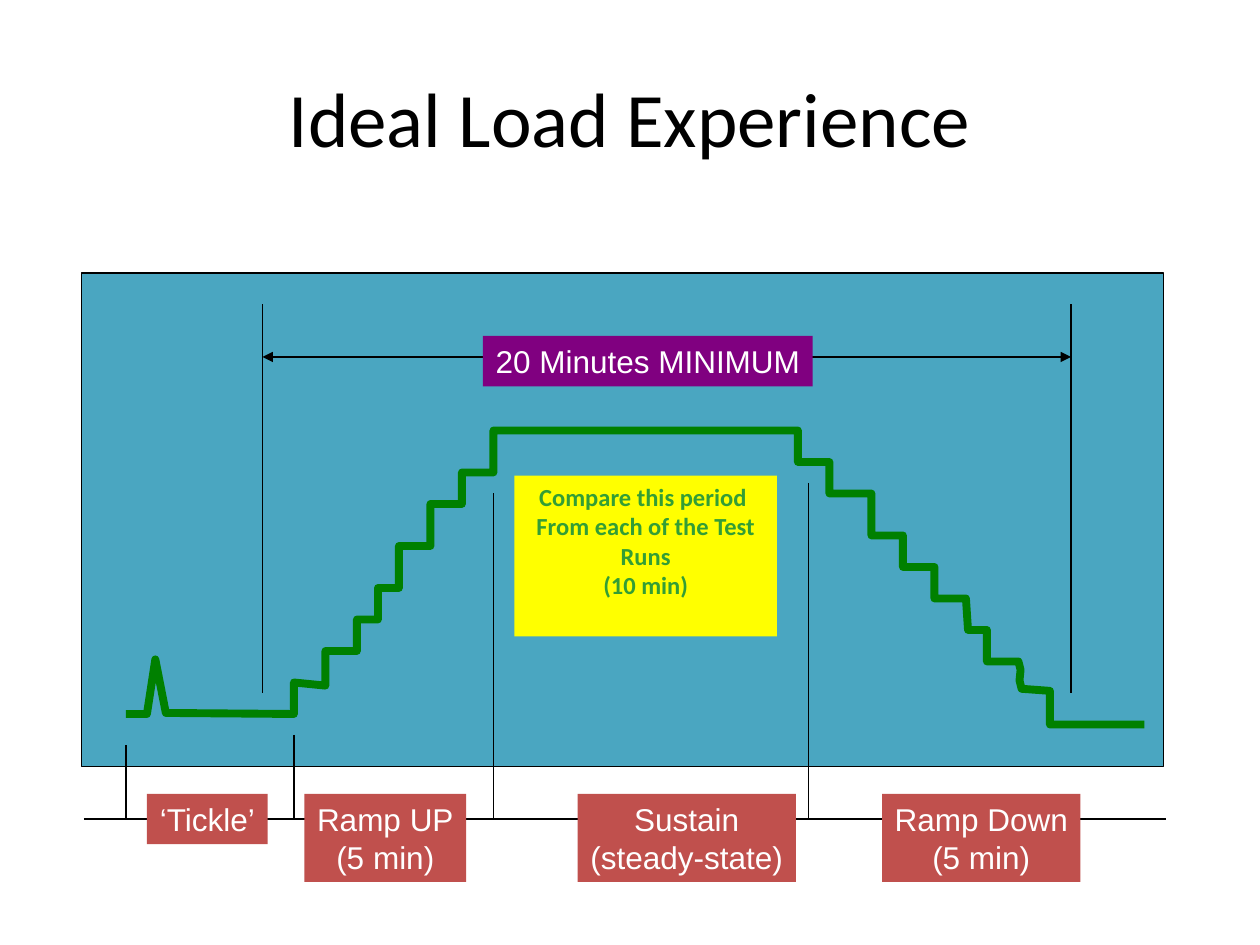
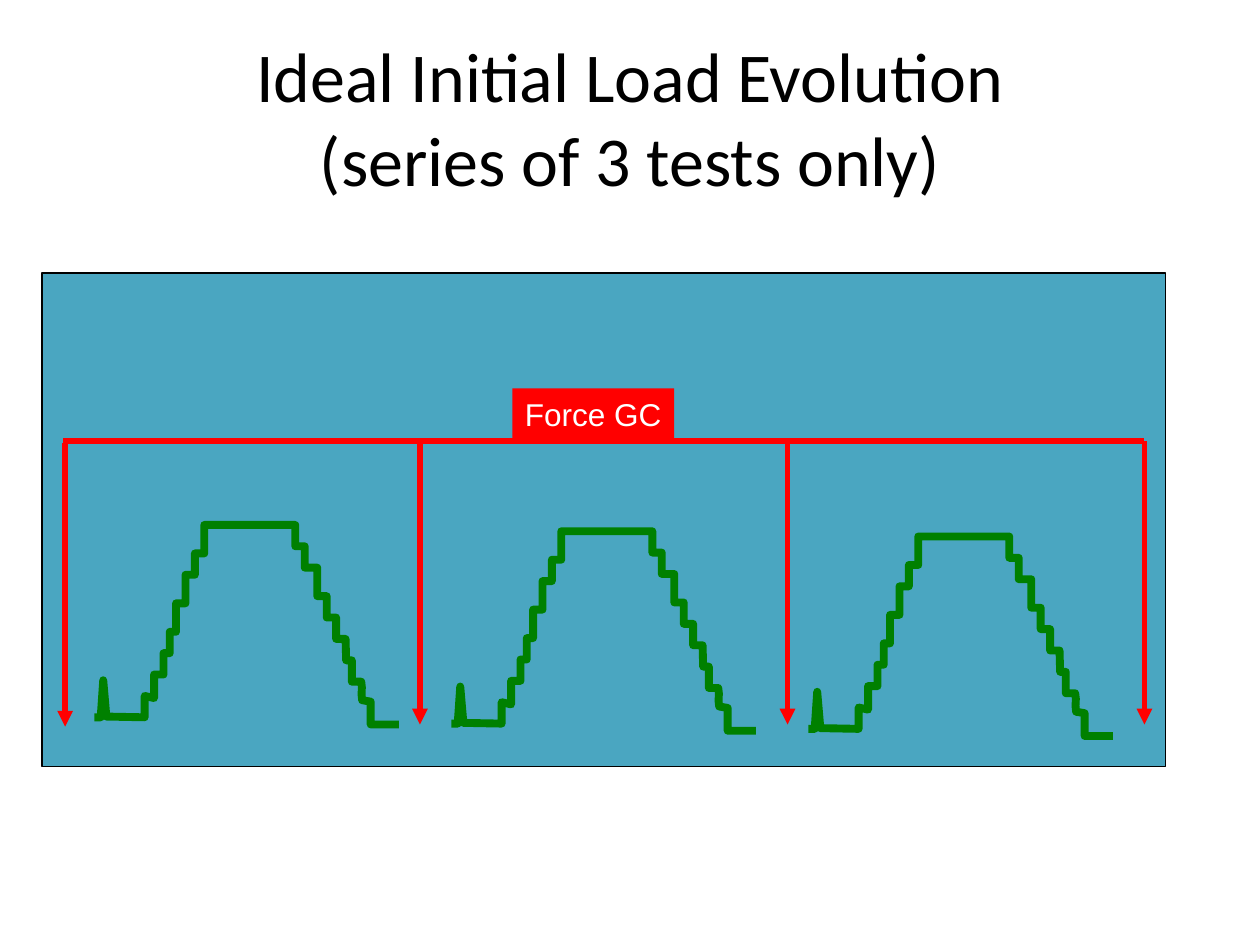
from lxml.etree import SubElement
from pptx import Presentation
from pptx.dml.color import RGBColor
from pptx.enum.shapes import MSO_CONNECTOR, MSO_SHAPE
from pptx.enum.text import MSO_ANCHOR, PP_ALIGN
from pptx.oxml.ns import qn
from pptx.util import Pt

PX = 7620
BLACK = RGBColor(0x00, 0x00, 0x00)
WHITE = RGBColor(0xFF, 0xFF, 0xFF)
TEAL = RGBColor(0x4A, 0xA6, 0xC1)
BRICK = RGBColor(0xC0, 0x50, 0x4D)
GREEN = RGBColor(0x00, 0x80, 0x00)
LIGHT_GREEN = RGBColor(0x33, 0x9E, 0x35)
PURPLE = RGBColor(0x80, 0x00, 0x80)
YELLOW = RGBColor(0xFF, 0xFF, 0x00)
RED = RGBColor(0xFF, 0x00, 0x00)

LOAD_WIDTH, LOAD_HEIGHT = 970, 280
LOAD_POINTS = [
    (0, 270), (20, 270), (28, 218), (38, 269), (160, 270), (160, 240),
    (190, 243), (190, 210), (220, 210), (220, 180), (240, 180), (240, 150),
    (260, 150), (260, 110), (290, 110), (290, 70), (320, 70), (320, 40),
    (350, 40), (350, 0), (640, 0), (640, 30), (670, 30), (670, 60),
    (710, 60), (710, 100), (740, 100), (740, 130), (770, 130), (770, 160),
    (800, 160), (802, 190), (820, 190), (820, 220), (850, 220), (852, 228),
    (851, 238), (853, 246), (880, 248), (880, 280), (970, 280),
]


def add_text(slide, text, left, top, width, height, *, font="Arial", size=18,
             color=WHITE, fill=None, bold=False, wrap=False,
             anchor=MSO_ANCHOR.TOP):
    box = slide.shapes.add_textbox(left * PX, top * PX, width * PX, height * PX)
    if fill is not None:
        box.fill.solid()
        box.fill.fore_color.rgb = fill
    frame = box.text_frame
    frame.word_wrap = wrap
    frame.vertical_anchor = anchor
    frame.text = text
    for paragraph in frame.paragraphs:
        paragraph.alignment = PP_ALIGN.CENTER
        for run in paragraph.runs:
            run.font.name = font
            run.font.size = Pt(size)
            run.font.bold = bold
            run.font.color.rgb = color


def add_line(slide, start_x, start_y, end_x, end_y, color=BLACK, weight=0.75, arrow=False):
    connector = slide.shapes.add_connector(
        MSO_CONNECTOR.STRAIGHT, start_x * PX, start_y * PX, end_x * PX, end_y * PX)
    connector.line.color.rgb = color
    connector.line.width = Pt(weight)
    properties = connector._element.spPr
    if arrow:
        SubElement(properties.find(qn("a:ln")), qn("a:tailEnd"), type="triangle")
    SubElement(properties, qn("a:effectLst"))


presentation = Presentation()
presentation.slide_width = 1200 * PX
presentation.slide_height = 900 * PX

slides = []
for title, title_size, panel_left, panel_width in [
    ("Ideal Load Experience", 44, 78, 1030),
    ("Ideal Initial Load Evolution\v(series of 3 tests only)", 40, 40, 1070),
]:
    slide = presentation.slides.add_slide(presentation.slide_layouts[6])
    slides.append(slide)
    add_text(slide, title, 60, 36, 1080, 150, font="Calibri", size=title_size,
             color=BLACK, wrap=True, anchor=MSO_ANCHOR.MIDDLE)
    panel = slide.shapes.add_shape(
        MSO_SHAPE.RECTANGLE, panel_left * PX, 260 * PX, panel_width * PX, 470 * PX)
    panel.shadow.inherit = False
    panel.fill.solid()
    panel.fill.fore_color.rgb = TEAL
    panel.line.color.rgb = BLACK
    panel.line.width = Pt(0.75)
experience, evolution = slides

for slide, left, top, width, height in [
    (experience, 120, 410, LOAD_WIDTH, LOAD_HEIGHT),
    (evolution, 90, 500, 290, 190),
    (evolution, 430, 506, 290, 190),
    (evolution, 770, 511, 290, 190),
]:
    scale = (width / LOAD_WIDTH * PX, height / LOAD_HEIGHT * PX)
    builder = slide.shapes.build_freeform(*LOAD_POINTS[0], scale=scale)
    builder.add_line_segments(LOAD_POINTS[1:], close=False)
    curve = builder.convert_to_shape(left * PX, top * PX)
    curve.shadow.inherit = False
    curve.fill.background()
    curve.line.color.rgb = GREEN
    curve.line.width = Pt(4.5)
    SubElement(curve.line._get_or_add_ln(), qn("a:round"))

add_line(experience, 80, 780, 1110, 780)
for divider_x, divider_top in [(120, 710), (280, 700), (470, 470), (770, 460)]:
    add_line(experience, divider_x, divider_top, divider_x, 780)
for limit_x in (250, 1020):
    add_line(experience, limit_x, 290, limit_x, 660)
    add_line(experience, 800, 340, limit_x, 340, arrow=True)

for phase, left, width, height in [
    ("‘Tickle’", 140, 115, 48),
    ("Ramp UP\n(5 min)", 290, 154, 84),
    ("Sustain\n(steady-state)", 550, 208, 84),
    ("Ramp Down\n(5 min)", 840, 189, 84),
]:
    add_text(experience, phase, left, 756, width, height, fill=BRICK)
add_text(experience, "20 Minutes MINIMUM", 460, 320, 314, 48, fill=PURPLE)
add_text(experience, "Compare this period \nFrom each of the Test Runs\n(10 min)",
         490, 453, 250, 153, font="Calibri", size=14, color=LIGHT_GREEN,
         fill=YELLOW, bold=True, wrap=True)

add_text(evolution, "Force GC", 488, 370, 154, 48, fill=RED)
add_line(evolution, 60, 420, 1090, 420, RED, 3)
for collection_x, collection_top in [(62, 422), (400, 420), (750, 420), (1090, 420)]:
    add_line(evolution, collection_x, collection_top, collection_x,
             collection_top + 270, RED, 3, arrow=True)

presentation.save("out.pptx")
